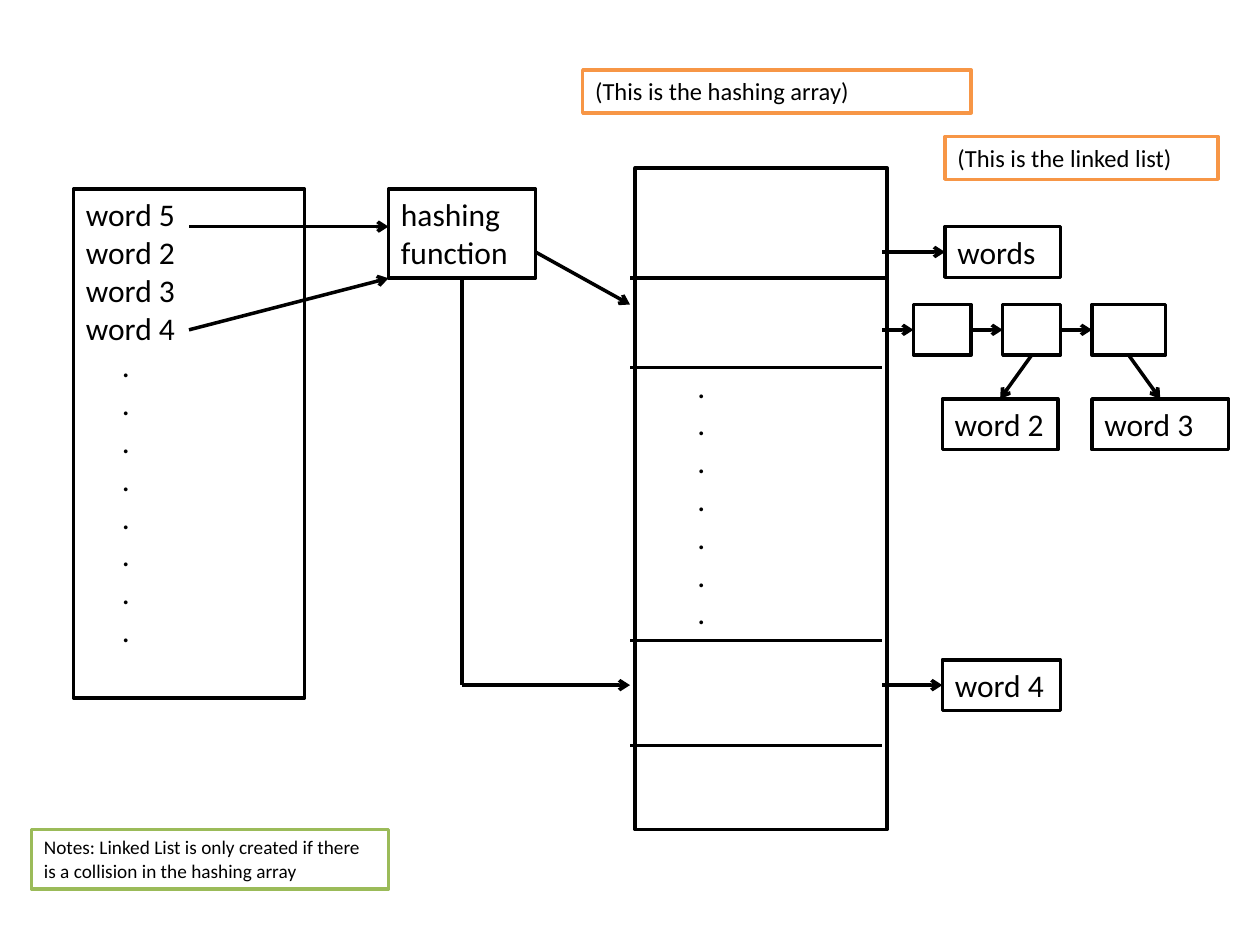
import pptx
import pptx.dml.color
import pptx.enum.shapes
import pptx.enum.text
import pptx.oxml.ns
import pptx.oxml.xmlchemy
import pptx.util

Pt = pptx.util.Pt
RGBColor = pptx.dml.color.RGBColor

BLACK = RGBColor(0x00, 0x00, 0x00)
WHITE = RGBColor(0xFF, 0xFF, 0xFF)
ORANGE = RGBColor(0xF7, 0x96, 0x46)
GREEN = RGBColor(0x9B, 0xBB, 0x59)

FONT = "Calibri"
LINE_WIDTH = 2
CELL_HEIGHT = 29
ARRAY_LEFT, ARRAY_RIGHT = 360, 504
LIST_Y = 188.5
LAST_SLOT_Y = 391.5


def add_box(slide, left, top, width, height, lines=(), size=18,
            outline=BLACK, dot_indent=0, top_inset=3.6):
    """Outlined rectangle with one paragraph per line; dots are indented."""
    box = slide.shapes.add_shape(pptx.enum.shapes.MSO_SHAPE.RECTANGLE,
                                 Pt(left), Pt(top), Pt(width), Pt(height))
    box.shadow.inherit = False
    box.fill.solid()
    box.fill.fore_color.rgb = WHITE
    box.line.color.rgb = outline
    box.line.width = Pt(LINE_WIDTH)
    frame = box.text_frame
    frame.word_wrap = True
    frame.vertical_anchor = pptx.enum.text.MSO_ANCHOR.TOP
    frame.margin_top = Pt(top_inset)
    for index, line in enumerate(lines):
        paragraph = frame.paragraphs[0] if index == 0 else frame.add_paragraph()
        paragraph.alignment = pptx.enum.text.PP_ALIGN.LEFT
        if line == ".":
            paragraph._p.get_or_add_pPr().set("marL", str(int(Pt(dot_indent))))
        run = paragraph.add_run()
        run.text = line
        run.font.name = FONT
        run.font.size = Pt(size)
        run.font.color.rgb = BLACK


def add_line(slide, x1, y1, x2, y2, arrow=False):
    """Straight black line, with an open arrowhead at its end if asked."""
    line = slide.shapes.add_connector(pptx.enum.shapes.MSO_CONNECTOR.STRAIGHT,
                                      Pt(x1), Pt(y1), Pt(x2), Pt(y2))
    line.line.color.rgb = BLACK
    line.line.width = Pt(LINE_WIDTH)
    properties = line._element.spPr
    if arrow:
        head = pptx.oxml.xmlchemy.OxmlElement("a:tailEnd")
        head.set("type", "arrow")
        properties.find(pptx.oxml.ns.qn("a:ln")).append(head)
    properties.append(pptx.oxml.xmlchemy.OxmlElement("a:effectLst"))


def add_arrows(slide, arrows):
    for ends in arrows:
        add_line(slide, *ends, arrow=True)


def add_hashing_input(slide):
    words = [f"word {number}" for number in (5, 2, 3, 4)]
    add_box(slide, 42, 108, 132, 291, words + ["."] * 8, dot_indent=20.5)
    add_box(slide, 222, 108, 84, 51, ["hashing", "function"])


def add_hashing_array(slide):
    # The dots start five text lines below the top
    add_box(slide, 363, 96, 144, 378, ["."] * 7,
            dot_indent=28.5, top_inset=113.5)
    for y in (210, 366, 426):
        add_line(slide, ARRAY_LEFT, y, ARRAY_RIGHT, y)
    add_line(slide, ARRAY_LEFT, 159, 507, 159)


def add_linked_list(slide):
    for left, width in ((522, 33), (573, 33), (624, 42)):
        add_box(slide, left, 174, width, CELL_HEIGHT)
    for word, left, top, width in (("words", 540, 129.5, 66),
                                   ("word 2", 538.5, 228, 66),
                                   ("word 3", 624, 228, 78),
                                   ("word 4", 538.5, 377, 67.5)):
        add_box(slide, left, top, width, CELL_HEIGHT, [word])


def add_flow(slide):
    # Words into the hashing function
    add_arrows(slide, [(108, 129.5, 222, 129.5), (108, LIST_Y, 222, 159)])
    # Hashing function into the array
    add_line(slide, 264, 159, 264, LAST_SLOT_Y)
    add_arrows(slide, [(264, LAST_SLOT_Y, ARRAY_LEFT, LAST_SLOT_Y),
                       (306, 144, ARRAY_LEFT, 174)])
    # Array into the stored words
    add_arrows(slide, [(ARRAY_RIGHT, 144, 540, 144),
                       (ARRAY_RIGHT, LAST_SLOT_Y, 538.5, LAST_SLOT_Y)])
    # Along the linked list and down to its words
    add_arrows(slide, [(start, LIST_Y, end, LIST_Y) for start, end in
                       ((ARRAY_RIGHT, 522), (555, 573), (606, 624))])
    add_arrows(slide, [(589.5, 203, 571.5, 228), (645, 203, 663, 228)])


def add_captions(slide):
    add_box(slide, 18, 474, 204, 34,
            ["Notes: Linked List is only created if there "
             "is a collision in the hashing array"], 11, GREEN)
    add_box(slide, 333, 40, 222, 24.5, ["(This is the hashing array)"], 14, ORANGE)
    add_box(slide, 540, 78, 156, 24.5, ["(This is the linked list)"], 14, ORANGE)


def main():
    presentation = pptx.Presentation()
    presentation.slide_width = Pt(720)
    presentation.slide_height = Pt(540)
    slide = presentation.slides.add_slide(presentation.slide_layouts[6])
    add_hashing_input(slide)
    add_hashing_array(slide)
    add_linked_list(slide)
    add_flow(slide)
    add_captions(slide)
    presentation.save("out.pptx")


main()
